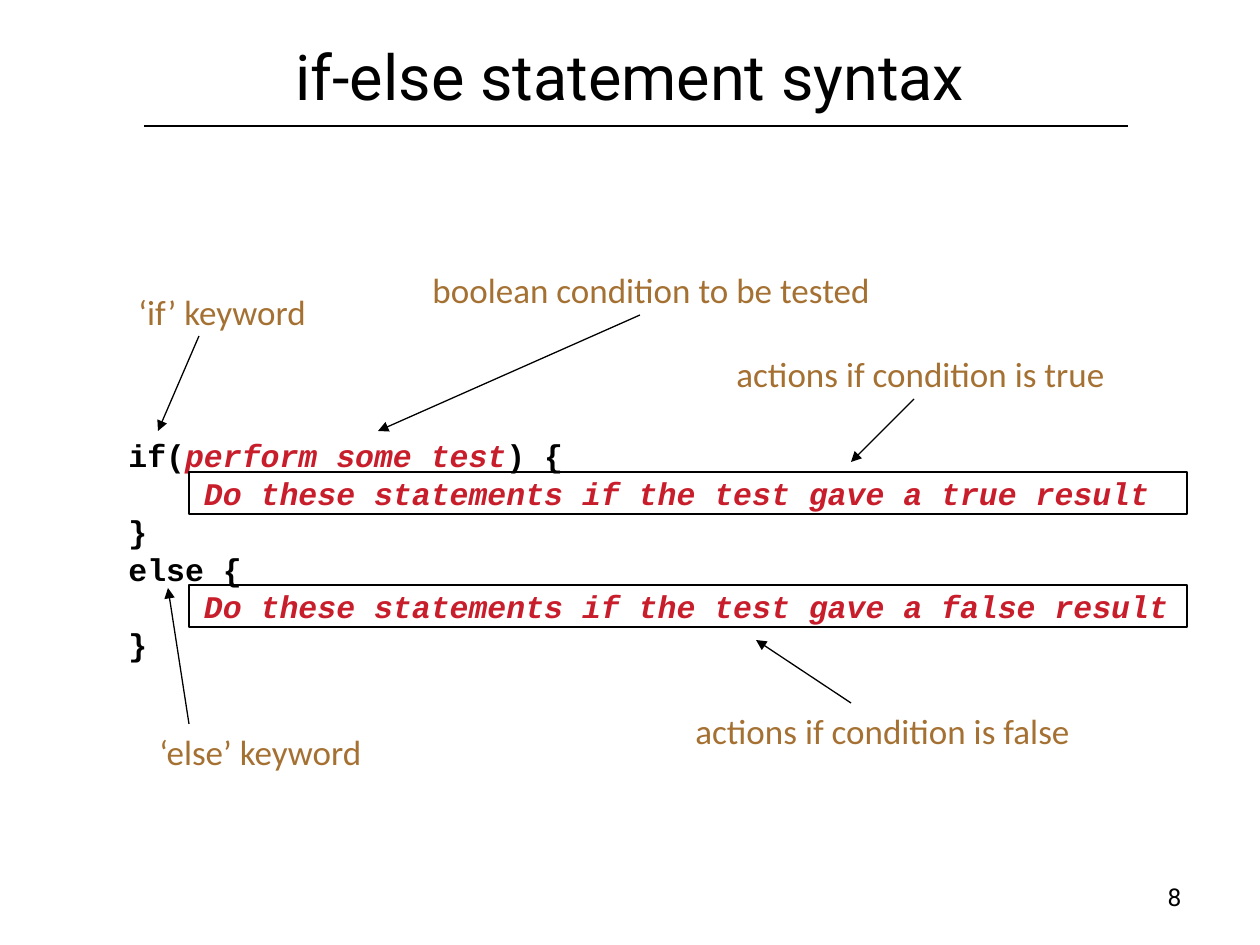
from dataclasses import dataclass

from lxml.etree import SubElement
from pptx import Presentation
from pptx.dml.color import RGBColor
from pptx.enum.shapes import MSO_CONNECTOR, MSO_SHAPE
from pptx.enum.text import MSO_ANCHOR, PP_ALIGN
from pptx.oxml.ns import qn
from pptx.util import Emu, Pt

PX_PER_INCH = 126


@dataclass(frozen=True)
class Theme:
    ink: RGBColor = RGBColor.from_string("000000")
    pseudo: RGBColor = RGBColor.from_string("C81D2B")
    label: RGBColor = RGBColor.from_string("A57133")
    heading_font: str = "Roboto"
    label_font: str = "Calibri"
    code_font: str = "Courier New"
    title_size: int = 36
    label_size: int = 20
    code_size: int = 18
    number_size: int = 14
    line_width: float = 0.75


THEME = Theme()
TITLE_FORMAT = {"name": THEME.heading_font, "size": Pt(THEME.title_size)}
NUMBER_FORMAT = {"name": THEME.heading_font, "size": Pt(THEME.number_size)}
LABEL_FORMAT = {"name": THEME.label_font, "size": Pt(THEME.label_size)}
CODE_FORMAT = {"name": THEME.code_font, "size": Pt(THEME.code_size), "bold": True}

# Each code line is a list of (text, is_pseudocode) pieces.
CODE = [
    [("if(", False), ("perform some test", True), (") {", False)],
    [("    ", False), ("Do these statements if the test gave a true result", True)],
    [("}", False)],
    [("else {", False)],
    [("    ", False), ("Do these statements if the test gave a false result", True)],
    [("}", False)],
]

# Label text, label box, arrow start, arrow end; px from the diagram corner.
ANNOTATIONS = [
    ("‘if’ keyword", (10, 22, 194, 55), (83, 74), (42, 169)),
    ("boolean condition to be tested", (304, 0, 525, 54), (524, 53), (262, 169)),
    ("actions if condition is true", (608, 84, 398, 55), (798, 137), (735, 200)),
    ("actions if condition is false", (567, 441, 462, 54), (735, 441), (640, 378)),
    ("‘else’ keyword", (31, 462, 229, 55), (73, 462), (52, 326)),
]


def px(value):
    return Emu(round(value * 914400 / PX_PER_INCH))


def inside(box, left, top, *size):
    """Shift a place given relative to box and turn it into EMU."""
    return [px(value) for value in (box[0] + left, box[1] + top, *size)]


def add_run(paragraph, text, font_format, color, italic=False):
    run = paragraph.add_run()
    run.text = text
    for name, value in font_format.items():
        setattr(run.font, name, value)
    run.font.italic = italic
    run.font.color.rgb = color


def add_text_box(slide, box, wrap=False):
    text_frame = slide.shapes.add_textbox(*inside(box, 0, 0, *box[2:])).text_frame
    text_frame.word_wrap = wrap
    return text_frame


def set_margins(text_frame, margin):
    for side in ("left", "top", "right", "bottom"):
        setattr(text_frame, f"margin_{side}", margin)


def add_line(slide, box, start, end, arrow=False):
    connector = slide.shapes.add_connector(
        MSO_CONNECTOR.STRAIGHT, *inside(box, *start), *inside(box, *end)
    )
    connector.line.color.rgb = THEME.ink
    connector.line.width = Pt(THEME.line_width)
    if arrow:
        line = connector.line._get_or_add_ln()
        SubElement(line, qn("a:tailEnd"), type="triangle")
    SubElement(connector._element.spPr, qn("a:effectLst"))


def add_title(slide, box, text):
    add_line(slide, box, (81, 126), (1065, 126))
    title = slide.shapes.title
    title.left, title.top, title.width, title.height = inside(box, 0, 0, *box[2:])
    text_frame = title.text_frame
    text_frame.vertical_anchor = MSO_ANCHOR.MIDDLE
    text_frame.word_wrap = True
    set_margins(text_frame, px(8))
    paragraph = text_frame.paragraphs[0]
    paragraph.alignment = PP_ALIGN.CENTER
    add_run(paragraph, text, TITLE_FORMAT, THEME.ink)


def add_code(slide, box):
    text_frame = add_text_box(slide, box)
    for index, pieces in enumerate(CODE):
        paragraph = text_frame.add_paragraph() if index else text_frame.paragraphs[0]
        for text, is_pseudocode in pieces:
            color = THEME.pseudo if is_pseudocode else THEME.ink
            add_run(paragraph, text, CODE_FORMAT, color, is_pseudocode)


def add_frame(slide, box):
    frame = slide.shapes.add_shape(MSO_SHAPE.RECTANGLE, *inside(box, 0, 0, *box[2:]))
    frame.shadow.inherit = False
    frame.fill.background()
    frame.line.color.rgb = THEME.ink
    frame.line.width = Pt(THEME.line_width)


def add_annotated_code(slide, box):
    left, top, width, _ = box
    add_code(slide, (left, top + 168, 1065, 239))
    for text, (x, y, label_width, height), start, end in ANNOTATIONS:
        label = add_text_box(slide, (left + x, top + y, label_width, height))
        add_run(label.paragraphs[0], text, LABEL_FORMAT, THEME.label)
        label.word_wrap = label_width > 400
        add_line(slide, box, start, end, arrow=True)
    for frame_top in (210, 323):
        add_frame(slide, (left + 73, top + frame_top, width - 73, 42))


def add_page_number(slide, box, number):
    text_frame = add_text_box(slide, box)
    set_margins(text_frame, px(8))
    paragraph = text_frame.paragraphs[0]
    paragraph.alignment = PP_ALIGN.CENTER
    add_run(paragraph, str(number), NUMBER_FORMAT, THEME.ink)


def main():
    presentation = Presentation()
    presentation.slide_width, presentation.slide_height = px(1260), px(945)
    slide = presentation.slides.add_slide(presentation.slide_layouts[5])
    add_title(slide, (63, 0, 1134, 150), "if-else statement syntax")
    add_annotated_code(slide, (116, 262, 1071, 517))
    add_page_number(slide, (1153, 874, 43, 43), 8)
    presentation.save("out.pptx")


if __name__ == "__main__":
    main()
